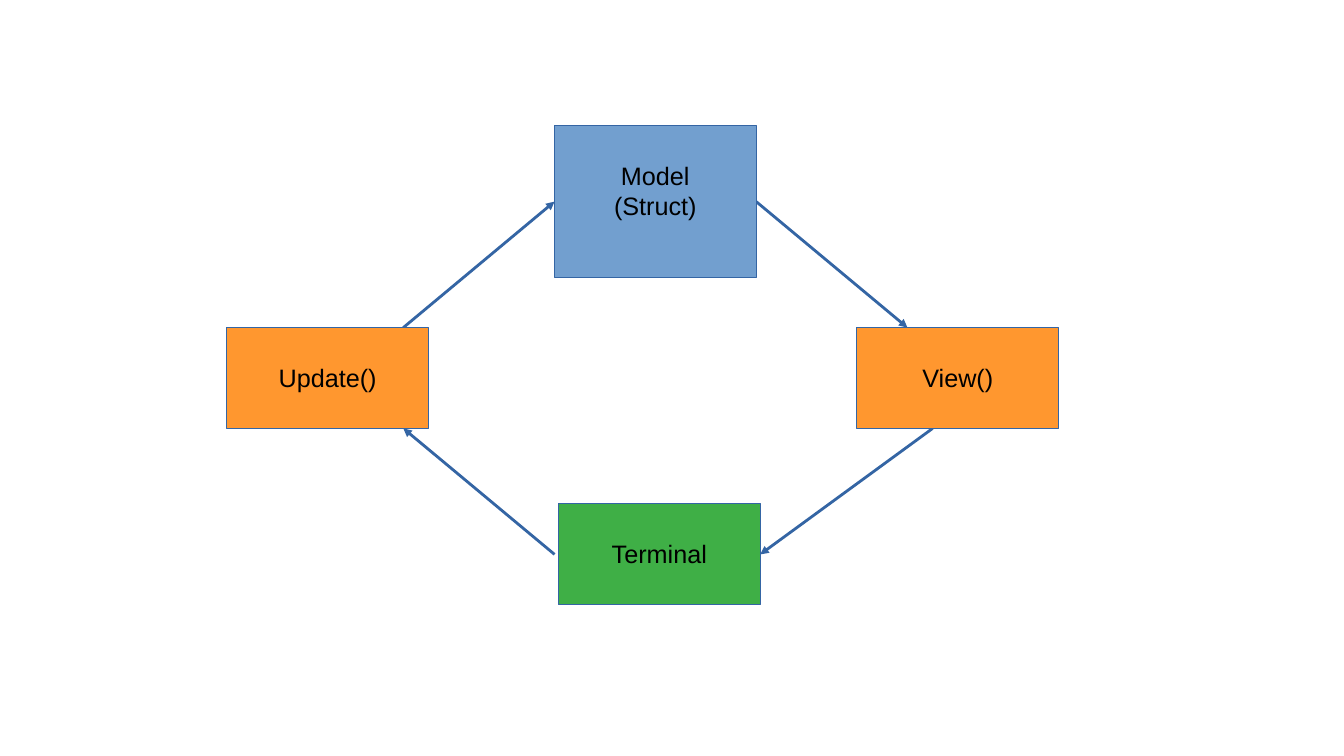
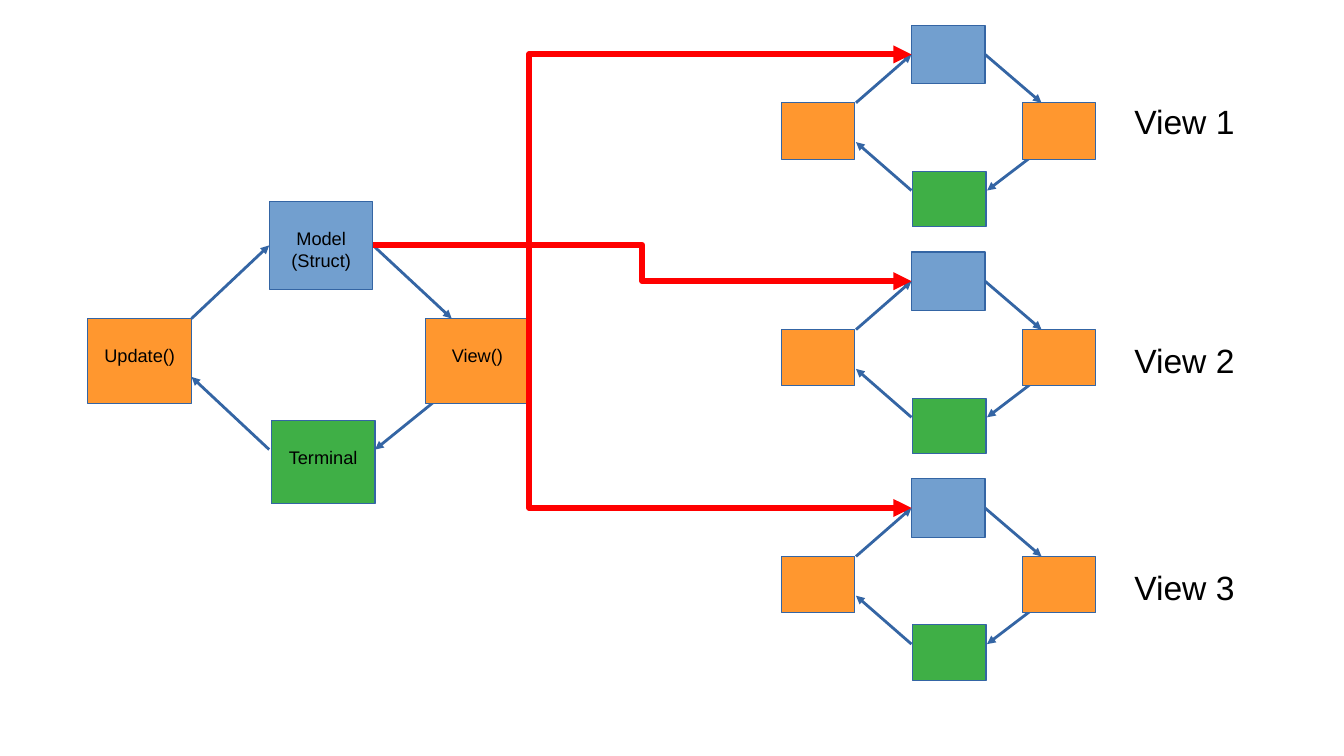
from dataclasses import dataclass
from typing import NamedTuple

from lxml import etree
from pptx import Presentation
from pptx import util as u
from pptx.dml.color import RGBColor
from pptx.enum import shapes, text
from pptx.oxml import ns

PX = 9144
TOP, LEFT, BOTTOM, RIGHT = range(4)


@dataclass(frozen=True)
class Theme:
    font: str = "Arial"
    ink: str = "000000"
    outline: str = "3465A4"
    model: str = "729FCF"
    function: str = "FF972F"
    terminal: str = "3FAF46"
    link: str = "FF0000"
    hairline: float = 0
    link_width: float = 4.31
    large: int = 18
    small: int = 13
    label: int = 24


THEME = Theme()


class Point(NamedTuple):
    x: int
    y: int


class Join(NamedTuple):
    box: str
    side: int


class Box(NamedTuple):
    name: str
    fill: str
    left: int
    top: int
    width: int
    height: int
    caption: str = ""


class Arrow(NamedTuple):
    start: Point
    end: Point
    begin_join: Join | None = None
    end_join: Join | None = None


@dataclass(frozen=True)
class Cycle:
    boxes: tuple[Box, ...]
    arrows: tuple[Arrow, ...]
    size: int = THEME.large


class View(NamedTuple):
    caption: str
    label_top: int
    offset: int
    bend: int


MODEL_LEFT = Join("model", LEFT)
MODEL_RIGHT = Join("model", RIGHT)

MAIN_CYCLE = Cycle(
    boxes=(
        Box("model", THEME.model, 550, 125, 200, 150, "Model\n(Struct)"),
        Box("update", THEME.function, 225, 325, 200, 100, "Update()"),
        Box("view", THEME.function, 850, 325, 200, 100, "View()"),
        Box("terminal", THEME.terminal, 554, 500, 200, 100, "Terminal"),
    ),
    arrows=(
        Arrow(Point(550, 550), Point(400, 425)),
        Arrow(Point(400, 325), Point(550, 200), end_join=MODEL_LEFT),
        Arrow(Point(750, 200), Point(900, 325), begin_join=MODEL_RIGHT),
        Arrow(Point(925, 425), Point(754, 550), end_join=Join("terminal", RIGHT)),
    ),
)

PARENT_CYCLE = Cycle(
    boxes=(
        Box("model", THEME.model, 267, 200, 103, 87, "Model\n(Struct)"),
        Box("update", THEME.function, 87, 316, 103, 84, "Update()"),
        Box("view", THEME.function, 422, 316, 103, 84, "View()"),
        Box("terminal", THEME.terminal, 269, 417, 103, 83, "Terminal"),
    ),
    arrows=(
        Arrow(Point(267, 446), Point(190, 374)),
        Arrow(Point(190, 316), Point(267, 243), end_join=MODEL_LEFT),
        Arrow(Point(370, 243), Point(448, 316), begin_join=MODEL_RIGHT),
        Arrow(Point(461, 374), Point(372, 446)),
    ),
    size=THEME.small,
)

CHILD_CYCLE = Cycle(
    boxes=(
        Box("model", THEME.model, 904, 25, 73, 58),
        Box("update", THEME.function, 775, 102, 73, 56),
        Box("view", THEME.function, 1014, 102, 73, 56),
        Box("terminal", THEME.terminal, 905, 170, 73, 55),
    ),
    arrows=(
        Arrow(Point(904, 189), Point(849, 141)),
        Arrow(Point(849, 102), Point(904, 54), end_join=MODEL_LEFT),
        Arrow(Point(977, 54), Point(1033, 102), begin_join=MODEL_RIGHT),
        Arrow(Point(1042, 141), Point(979, 189)),
    ),
)

VIEWS = (
    View("View 1", 100, 0, 29),
    View("View 2", 337, 225, 50),
    View("View 3", 562, 450, 29),
)
LINK_START = Point(370, 243)
LINK_END = Point(904, 54)


def px(length: int) -> u.Emu:
    return u.Emu(length * PX)


def write(box, wording: str, *, size: int, align=text.PP_ALIGN.LEFT,
          side: int = 0, top: int = 0) -> None:
    frame = box.text_frame
    frame.word_wrap = True
    frame.vertical_anchor = text.MSO_ANCHOR.TOP
    frame.margin_left = frame.margin_right = px(side)
    frame.margin_top, frame.margin_bottom = px(top), px(0)
    for index, line in enumerate(wording.split("\n")):
        para = frame.add_paragraph() if index else frame.paragraphs[0]
        para.alignment = align
        span = para.add_run()
        span.text = line
        span.font.name = THEME.font
        span.font.size = u.Pt(size)
        span.font.color.rgb = RGBColor.from_string(THEME.ink)


def draw_box(page, box: Box, *, offset: int, size: int):
    shape = page.shapes.add_shape(
        shapes.MSO_SHAPE.RECTANGLE, px(box.left), px(box.top + offset),
        px(box.width), px(box.height))
    shape.shadow.inherit = False
    shape.fill.solid()
    shape.fill.fore_color.rgb = RGBColor.from_string(box.fill)
    shape.line.color.rgb = RGBColor.from_string(THEME.outline)
    shape.line.width = u.Pt(THEME.hairline)
    if box.caption:
        line_height = round(size * 1.15 * 100 / 72)
        write(shape, box.caption, size=size, align=text.PP_ALIGN.CENTER,
              side=10, top=5 + line_height)
    return shape


def draw_arrow(page, start: Point, end: Point, *, color: str = THEME.outline,
               width: float = THEME.hairline, bend: int | None = None):
    kind = shapes.MSO_CONNECTOR.STRAIGHT if bend is None else shapes.MSO_CONNECTOR.ELBOW
    line = page.shapes.add_connector(
        kind, px(start.x), px(start.y), px(end.x), px(end.y))
    line.line.color.rgb = RGBColor.from_string(color)
    line.line.width = u.Pt(width)
    properties = line._element.spPr
    outline = properties.find(ns.qn("a:ln"))
    etree.SubElement(outline, ns.qn("a:round"))
    etree.SubElement(outline, ns.qn("a:tailEnd"), type="triangle")
    etree.SubElement(properties, ns.qn("a:effectLst"))
    if bend is not None:
        guides = properties.find(ns.qn("a:prstGeom")).find(ns.qn("a:avLst"))
        etree.SubElement(guides, ns.qn("a:gd"), name="adj1", fmla=f"val {bend * 1000}")
    return line


def draw_cycle(page, cycle: Cycle, offset: int = 0) -> None:
    lines = [
        draw_arrow(page, Point(arrow.start.x, arrow.start.y + offset),
                   Point(arrow.end.x, arrow.end.y + offset))
        for arrow in cycle.arrows
    ]
    boxes = {
        box.name: draw_box(page, box, offset=offset, size=cycle.size)
        for box in cycle.boxes
    }
    for line, arrow in zip(lines, cycle.arrows):
        if arrow.begin_join:
            line.begin_connect(boxes[arrow.begin_join.box], arrow.begin_join.side)
        if arrow.end_join:
            line.end_connect(boxes[arrow.end_join.box], arrow.end_join.side)


def draw_views(page) -> None:
    draw_cycle(page, PARENT_CYCLE)
    for view in VIEWS:
        label = page.shapes.add_textbox(px(1125), px(view.label_top), px(175), px(38))
        write(label, view.caption, size=THEME.label)
        draw_cycle(page, CHILD_CYCLE, view.offset)
    for view in VIEWS:
        draw_arrow(page, LINK_START, Point(LINK_END.x, LINK_END.y + view.offset),
                   color=THEME.link, width=THEME.link_width, bend=view.bend)


def main() -> None:
    deck = Presentation()
    deck.slide_width, deck.slide_height = px(1333), px(750)
    blank = deck.slide_layouts[6]
    draw_cycle(deck.slides.add_slide(blank), MAIN_CYCLE)
    draw_views(deck.slides.add_slide(blank))
    deck.save("out.pptx")


if __name__ == "__main__":
    main()
